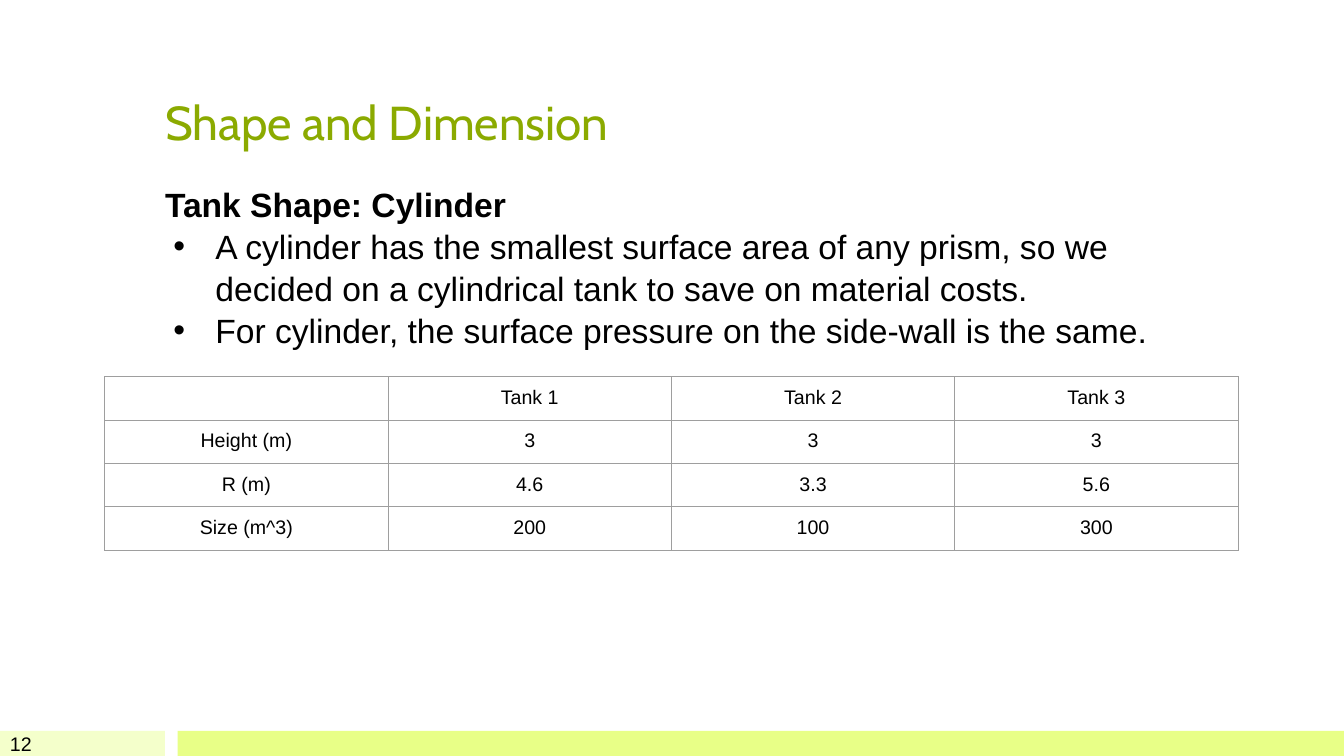
from dataclasses import dataclass

from lxml.etree import SubElement
from pptx import Presentation
from pptx.dml.color import RGBColor
from pptx.enum.shapes import MSO_SHAPE
from pptx.enum.text import MSO_ANCHOR, PP_ALIGN
from pptx.oxml.ns import qn
from pptx.util import Cm, Pt

COLORS = {
    "pale_lime": "F4FFCB",
    "lime": "E8FF87",
    "olive": "8BAA00",
    "black": "000000",
    "grid": "9E9E9E",
}
FOOTER_TOP, FOOTER_HEIGHT = 18.42, 0.63
INSET = 0.25
TANK_ROWS = [
    ["", "Tank 1", "Tank 2", "Tank 3"],
    ["Height (m)", "3", "3", "3"],
    ["R (m)", "4.6", "3.3", "5.6"],
    ["Size (m^3)", "200", "100", "300"],
]


@dataclass
class FooterBar:
    left: float
    width: float
    color: str


@dataclass
class Line:
    text: str
    size: int
    font: str = "Arial"
    color: str = "black"
    bold: bool = False
    bullet: bool = False
    spacing: float = 1.0


@dataclass
class TextBlock:
    left: float
    top: float
    width: float
    height: float
    lines: list[Line]
    anchor: MSO_ANCHOR = MSO_ANCHOR.TOP
    inset_y: float = INSET


FOOTER_BARS = [FooterBar(0, 4.16, "pale_lime"), FooterBar(4.48, 29.39, "lime")]
TEXT_BLOCKS = [
    TextBlock(3.91, 0.76, 26.04, 3.28,
              [Line("Shape and Dimension", 34, "Cabin", "olive")], MSO_ANCHOR.BOTTOM),
    TextBlock(3.91, 4.35, 26.04, 12.83, [
        Line("Tank Shape: Cylinder", 24, bold=True, spacing=1.04),
        Line("A cylinder has the smallest surface area of any prism, so we decided on "
             "a cylindrical tank to save on material costs.", 24, bullet=True, spacing=1.04),
        Line("For cylinder, the surface pressure on the side-wall is the same.",
             24, bullet=True, spacing=1.04),
    ]),
    TextBlock(0, FOOTER_TOP, 1.14, FOOTER_HEIGHT, [Line("12", 14)], MSO_ANCHOR.MIDDLE, 0.13),
]


def rgb(name: str) -> RGBColor:
    return RGBColor.from_string(COLORS[name])


def draw_footer_bar(slide, bar: FooterBar) -> None:
    strip = slide.shapes.add_shape(MSO_SHAPE.RECTANGLE, Cm(bar.left), Cm(FOOTER_TOP),
                                   Cm(bar.width), Cm(FOOTER_HEIGHT))
    strip.shadow.inherit = False
    strip.fill.solid()
    strip.fill.fore_color.rgb = rgb(bar.color)
    strip.line.fill.background()


def add_bullet(paragraph) -> None:
    properties = paragraph._p.get_or_add_pPr()
    properties.set("marL", str(Cm(1.27)))
    properties.set("indent", str(Cm(-1.06)))
    bullet_color = SubElement(properties, qn("a:buClr"))
    SubElement(bullet_color, qn("a:srgbClr"), val=COLORS["black"])
    SubElement(properties, qn("a:buFont"), typeface="Arial")
    SubElement(properties, qn("a:buChar"), char="•")


def write_line(paragraph, line: Line) -> None:
    paragraph.text = line.text
    if line.bullet:
        add_bullet(paragraph)
    paragraph.line_spacing = line.spacing
    for run in paragraph.runs:
        run.font.name = line.font
        run.font.size = Pt(line.size)
        run.font.bold = line.bold
        run.font.color.rgb = rgb(line.color)


def draw_text_block(slide, block: TextBlock) -> None:
    frame = slide.shapes.add_textbox(Cm(block.left), Cm(block.top),
                                     Cm(block.width), Cm(block.height)).text_frame
    frame.word_wrap = True
    frame.vertical_anchor = block.anchor
    frame.margin_left = frame.margin_right = Cm(INSET)
    frame.margin_top = frame.margin_bottom = Cm(block.inset_y)
    for index, line in enumerate(block.lines):
        write_line(frame.add_paragraph() if index else frame.paragraphs[0], line)


def add_borders(cell) -> None:
    properties = cell._tc.get_or_add_tcPr()
    for side in ("lnL", "lnR", "lnT", "lnB"):
        border = SubElement(properties, qn(f"a:{side}"), w=str(Pt(0.75)))
        border_fill = SubElement(border, qn("a:solidFill"))
        SubElement(border_fill, qn("a:srgbClr"), val=COLORS["grid"])


def draw_tank_table(slide) -> None:
    table = slide.shapes.add_table(len(TANK_ROWS), len(TANK_ROWS[0]), Cm(2.64), Cm(9.49),
                                   Cm(28.56), Cm(4.28)).table
    table.first_row = table.horz_banding = False
    for row_index, values in enumerate(TANK_ROWS):
        for column_index, value in enumerate(values):
            cell = table.cell(row_index, column_index)
            cell.margin_left = cell.margin_right = Cm(INSET)
            cell.margin_top = cell.margin_bottom = Cm(INSET)
            add_borders(cell)
            cell.fill.background()
            paragraph = cell.text_frame.paragraphs[0]
            write_line(paragraph, Line(value, 14))
            paragraph.alignment = PP_ALIGN.CENTER
            if not value:
                SubElement(paragraph._p, qn("a:endParaRPr"), sz="1400")


def main() -> None:
    presentation = Presentation()
    presentation.slide_width = Cm(33.87)
    presentation.slide_height = Cm(19.05)
    slide = presentation.slides.add_slide(presentation.slide_layouts[6])
    for bar in FOOTER_BARS:
        draw_footer_bar(slide, bar)
    for block in TEXT_BLOCKS:
        draw_text_block(slide, block)
    draw_tank_table(slide)
    presentation.save("out.pptx")


if __name__ == "__main__":
    main()
